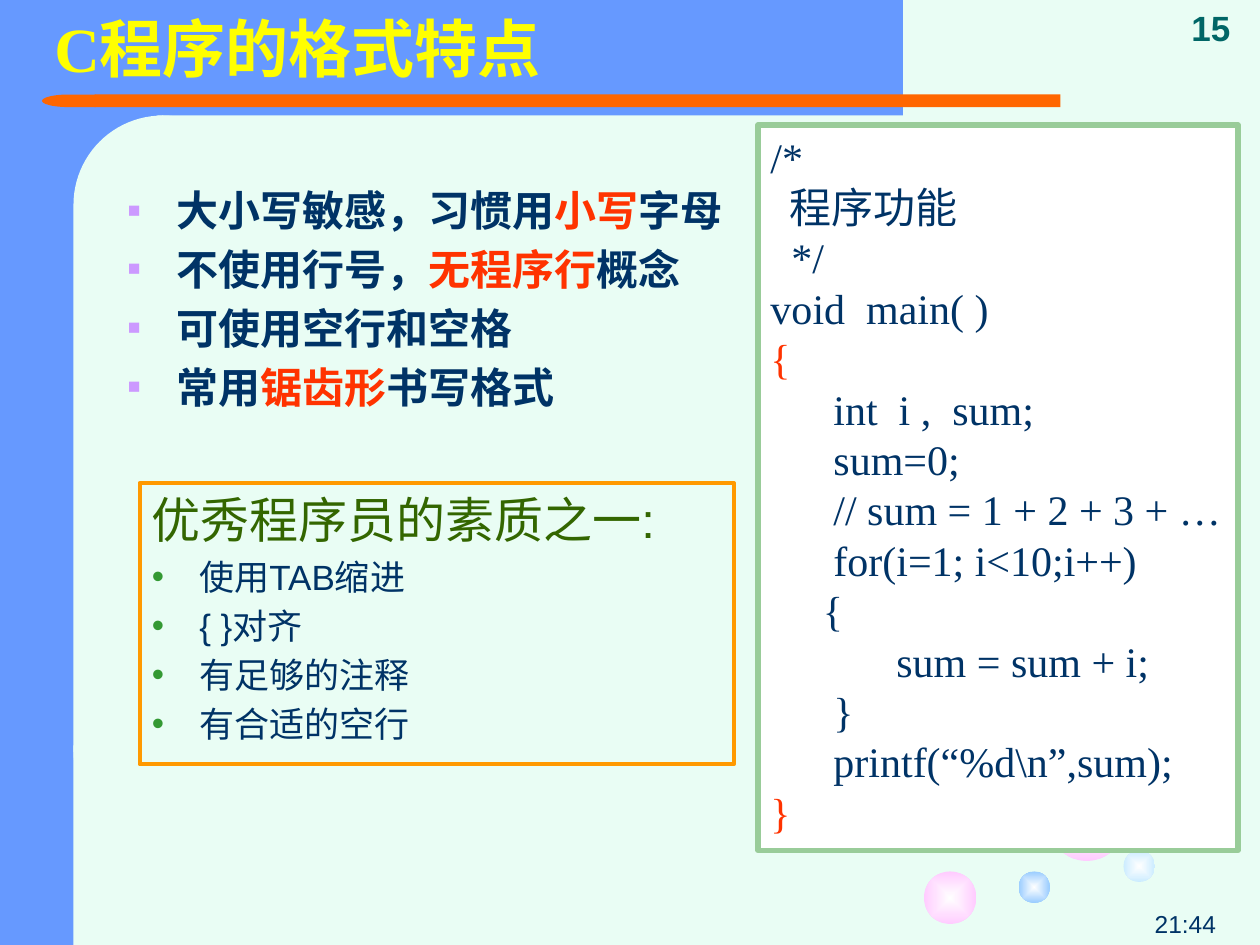
from lxml.etree import SubElement
from pptx import Presentation
from pptx.dml.color import RGBColor
from pptx.enum.shapes import MSO_SHAPE as Shape
from pptx.enum.text import MSO_ANCHOR as Anchor, PP_ALIGN as Align
from pptx.oxml.ns import qn
from pptx.util import Pt

PX = 7620
COLORS = {
    "mint": "E9FDF4", "blue": "6699FF", "orange": "FF6600", "white": "FFFFFF",
    "pink": "FFCCFF", "ice": "CCECFF", "sky": "99CCFF", "navy": "003366",
    "teal": "006666", "yellow": "FFFF00", "red": "FF3300", "violet": "CC99FF",
    "sage": "99CC99", "amber": "FF9900", "olive": "336600", "green": "339933",
}
RGB = {name: RGBColor.from_string(value) for name, value in COLORS.items()}

deck = Presentation()
deck.slide_width, deck.slide_height = 1200 * PX, 900 * PX
page = deck.slides.add_slide(deck.slide_layouts[6])
page.background.fill.solid()
page.background.fill.fore_color.rgb = RGB["mint"]


def add_shape(kind, frame, fill=None, line=None, width=0):
    shape = page.shapes.add_shape(kind, *[n * PX for n in frame])
    shape.shadow.inherit = False
    if fill:
        shape.fill.solid()
        shape.fill.fore_color.rgb = RGB[fill]
    else:
        shape.fill.background()
    if line:
        shape.line.color.rgb = RGB[line]
        shape.line.width = Pt(width)
    else:
        shape.line.fill.background()
    return shape


def write(box, rows, wrap=True, anchor=Anchor.TOP, **paragraph_format):
    frame = box.text_frame
    frame.word_wrap, frame.vertical_anchor = wrap, anchor
    for index, (spans, font, size, bold, bullet) in enumerate(rows):
        para = frame.paragraphs[0] if index == 0 else frame.add_paragraph()
        para.alignment = Align.LEFT
        for name, value in paragraph_format.items():
            setattr(para, name, value)
        if bullet:
            char, color, percent, left, hang = bullet
            props = para._p.get_or_add_pPr()
            props.set("marL", str(left * PX))
            props.set("indent", str(-hang * PX))
            tint = SubElement(props, qn("a:buClr"))
            SubElement(tint, qn("a:srgbClr"), val=COLORS[color])
            SubElement(props, qn("a:buSzPct"), val=str(percent * 1000))
            SubElement(props, qn("a:buFont"), typeface="Arial")
            SubElement(props, qn("a:buChar"), char=char)
            if index:
                para.space_before = Pt(size * 0.2)
        for text, color in spans:
            span = para.add_run()
            span.text = text
            for name, value in {"name": font, "size": Pt(size), "bold": bold}.items():
                setattr(span.font, name, value)
            span.font.color.rgb = RGB[color]


add_shape(Shape.RECTANGLE, (0, 0, 150, 900), "blue")
add_shape(Shape.RECTANGLE, (60, 0, 800, 110), "blue")
corner = add_shape(Shape.ROUNDED_RECTANGLE, (70, 110, 170, 690), "mint")
corner.adjustments[0] = 0.5
add_shape(Shape.RECTANGLE, (90, 90, 920, 12), "orange")
rule_tip = add_shape(Shape.FLOWCHART_DELAY, (40, 90, 51, 12), "orange")
rule_tip.rotation = 180
add_shape(Shape.RECTANGLE, (70, 710, 170, 190), "mint")

for left, top, size, color in [
    (1000, 750, 70, "pink"), (880, 830, 50, "pink"),
    (1070, 810, 30, "ice"), (970, 830, 30, "sky"),
]:
    bubble = add_shape(Shape.OVAL, (left, top, size, size), "white")
    bubble.fill.gradient()
    for stop, name, position in zip(bubble.fill.gradient_stops, ("white", color), (0, 1)):
        stop.color.rgb = RGB[name]
        stop.position = position
    gradient = bubble._element.spPr.find(qn("a:gradFill"))
    gradient.remove(gradient.find(qn("a:lin")))
    spread = SubElement(gradient, qn("a:path"), {"path": "shape"})
    SubElement(spread, qn("a:fillToRect"), dict.fromkeys("ltrb", "50000"))

for frame, text, font, size, bold, color, anchor, layout in [
    ((920, 860, 250, 40), "21:44", "Arial", 14, False, "navy", Anchor.BOTTOM,
     {"alignment": Align.RIGHT}),
    ((1123, 0, 77, 52), "15", "Arial", 20, True, "teal", Anchor.BOTTOM, {}),
    ((40, 0, 1010, 100), "C程序的格式特点", "Times New Roman", 36, True, "yellow",
     Anchor.MIDDLE, {"line_spacing": 0.9}),
]:
    box = page.shapes.add_textbox(*[n * PX for n in frame])
    write(box, [([(text, color)], font, size, bold, None)], anchor=anchor, **layout)

features = [
    [("大小写敏感，习惯用", "navy"), ("小写", "red"), ("字母", "navy")],
    [("不使用行号，", "navy"), ("无程序行", "red"), ("概念", "navy")],
    [("可使用空行和空格", "navy")],
    [("常用", "navy"), ("锯齿形", "red"), ("书写格式", "navy")],
]
square = ("■", "violet", 50, 156, 46)
feature_box = page.shapes.add_textbox(0, 170 * PX, 1080 * PX, 290 * PX)
write(feature_box, [(spans, "Lato", 24, True, square) for spans in features])

code = r"""/*
  程序功能
  */
void  main( )
{
      int  i ,  sum;
      sum=0;
      // sum = 1 + 2 + 3 + …
      for(i=1; i<10;i++)
     {
            sum = sum + i;
      }
      printf(“%d\n”,sum);
}"""
code_box = add_shape(Shape.RECTANGLE, (722, 119, 457, 691), "white", "sage", 3)
write(code_box, [
    ([(line, "red" if line in ("{", "}") else "navy")], "Times New Roman", 24, False, None)
    for line in code.split("\n")
], wrap=False)

tips = ["使用TAB缩进", "{ }对齐", "有足够的注释", "有合适的空行"]
dot = ("•", "green", 100, 45, 45)
tip_box = add_shape(Shape.RECTANGLE, (133, 460, 566, 268), None, "amber", 2.25)
write(tip_box, [([("优秀程序员的素质之一:", "olive")], "Arial", 28, False, None)] + [
    ([(tip, "navy")], "Arial", 20, False, dot) for tip in tips
])

deck.save("out.pptx")
